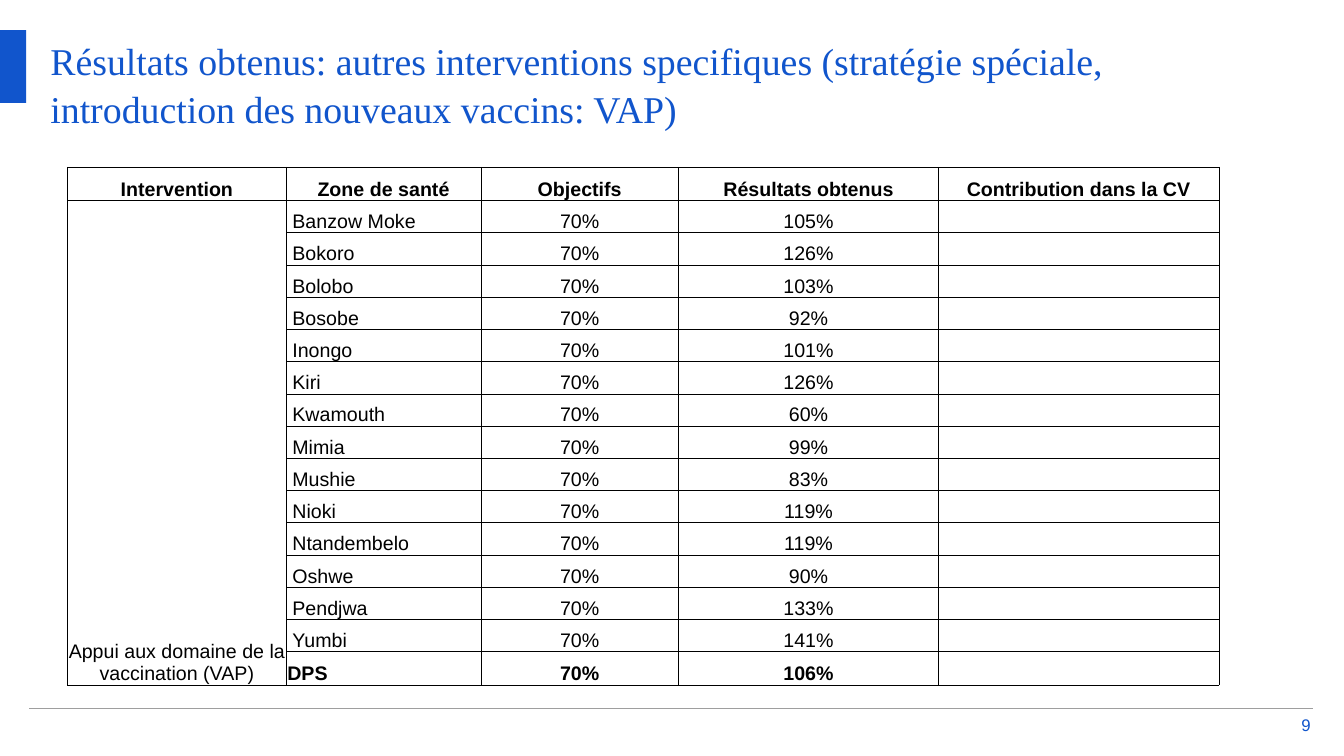
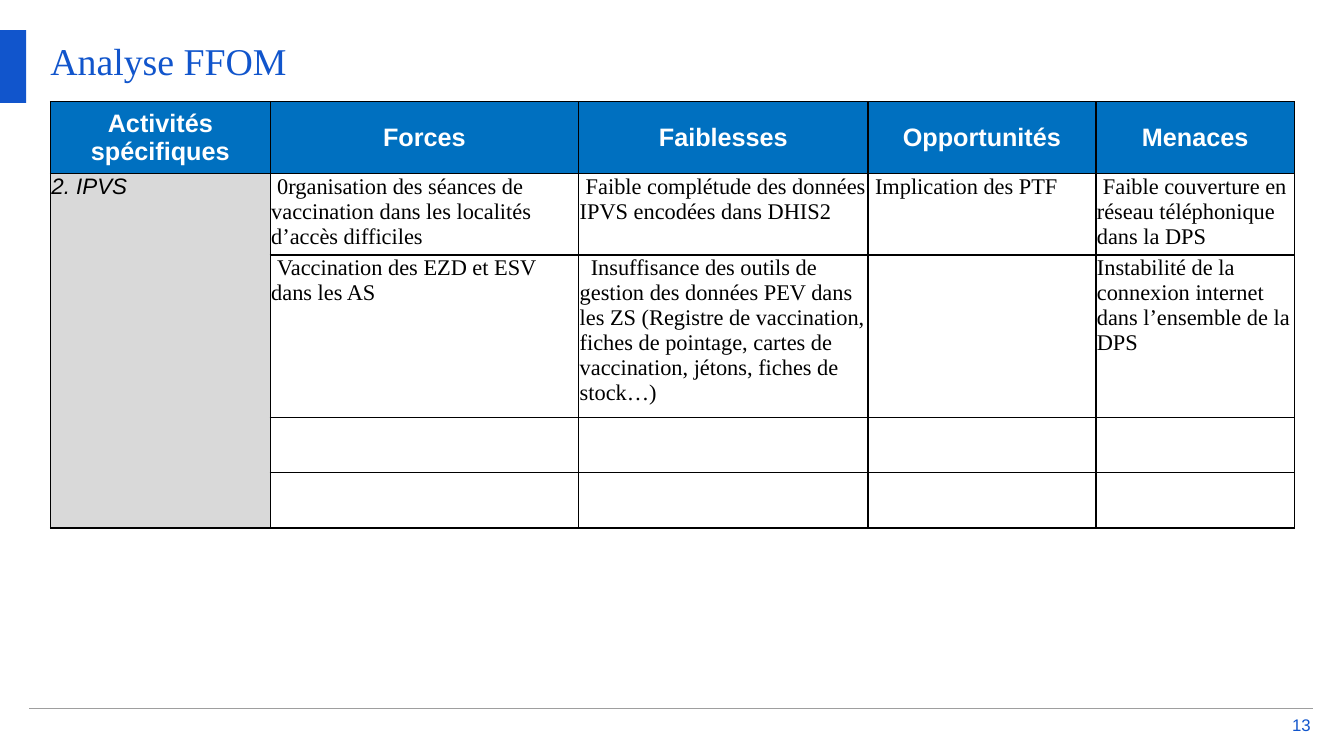
import pptx
import pptx.dml.color
import pptx.enum.shapes
import pptx.enum.text
import pptx.oxml.ns
import pptx.util
from lxml import etree

Inches = pptx.util.Inches
Pt = pptx.util.Pt
ALIGN = pptx.enum.text.PP_ALIGN
ANCHOR = pptx.enum.text.MSO_ANCHOR
qn = pptx.oxml.ns.qn

HUES = {
    "blue": "1155CC",
    "head": "0070C0",
    "side": "D9D9D9",
    "rule": "9E9E9E",
    "black": "000000",
    "white": "FFFFFF",
}
SANS = "Arial"
SERIF = "Times New Roman"

ZONES = [
    ("Banzow Moke", "105%"),
    ("Bokoro", "126%"),
    ("Bolobo", "103%"),
    ("Bosobe", "92%"),
    ("Inongo", "101%"),
    ("Kiri", "126%"),
    ("Kwamouth", "60%"),
    ("Mimia", "99%"),
    ("Mushie", "83%"),
    ("Nioki", "119%"),
    ("Ntandembelo", "119%"),
    ("Oshwe", "90%"),
    ("Pendjwa", "133%"),
    ("Yumbi", "141%"),
]
GOAL = "70%"

SWOT = [
    [
        "0rganisation des séances de vaccination dans les localités d’accès difficiles",
        "Faible complétude des données IPVS encodées dans DHIS2",
        "Implication des PTF",
        "Faible couverture en réseau téléphonique dans la DPS",
    ],
    [
        "Vaccination des EZD et ESV dans les AS",
        "Insuffisance des outils de gestion des données PEV dans les ZS "
        "(Registre de vaccination, fiches de pointage, cartes de vaccination, "
        "jétons, fiches de stock…)",
        "",
        "Instabilité de la connexion internet dans l’ensemble de la DPS",
    ],
]
INDENTS = [[0.06, 0.06, 0.06, 0.06], [0.06, 0.11, 0, 0]]


def color(name):
    return pptx.dml.color.RGBColor.from_string(HUES[name])


def write(frame, text, size=14, font=SANS, hue="black", bold=False,
          italic=False, align=ALIGN.LEFT, indent=0, space=None):
    par = frame.paragraphs[0]
    par.alignment = align
    par.line_spacing = space
    if indent:
        props = par._p.get_or_add_pPr()
        props.set("marL", "0")
        props.set("indent", str(Inches(indent)))
    run = par.add_run()
    run.text = text
    run.font.size = Pt(size)
    run.font.name = font
    run.font.bold = bold
    run.font.italic = italic
    run.font.color.rgb = color(hue)


def label(slide, box, text, anchor=ANCHOR.TOP, **style):
    frame = slide.shapes.add_textbox(*map(Inches, box)).text_frame
    frame.word_wrap = True
    frame.vertical_anchor = anchor
    frame.margin_left = frame.margin_right = 0
    frame.margin_top = frame.margin_bottom = 0
    write(frame, text, **style)


def band(slide):
    kind = pptx.enum.shapes.MSO_SHAPE.RECTANGLE
    shape = slide.shapes.add_shape(kind, 0, Inches(0.3), Inches(0.26), Inches(0.72))
    shape.shadow.inherit = False
    shape.fill.solid()
    shape.fill.fore_color.rgb = color("blue")
    shape.line.fill.background()


def rule(slide):
    kind = pptx.enum.shapes.MSO_CONNECTOR.STRAIGHT
    line = slide.shapes.add_connector(
        kind, Inches(0.29), Inches(7.03), Inches(13.02), Inches(7.03))
    line.line.color.rgb = color("rule")
    line.line.width = Pt(1)
    etree.SubElement(line._element.spPr, qn("a:effectLst"))


def page(deck, title, number):
    slide = deck.slides.add_slide(deck.slide_layouts[6])
    label(slide, (0.5, 0.35, 12.33, 0.8), title, size=27, font=SERIF,
          hue="blue", space=1.06)
    band(slide)
    label(slide, (12.75, 7.1, 0.25, 0.18), number, anchor=ANCHOR.MIDDLE,
          size=12, hue="blue", align=ALIGN.RIGHT)
    rule(slide)
    return slide


def border(cell, width):
    props = cell._tc.get_or_add_tcPr()
    for side in ("lnL", "lnR", "lnT", "lnB"):
        line = etree.SubElement(props, qn("a:" + side), w=str(Pt(width)))
        fill = etree.SubElement(line, qn("a:solidFill"))
        etree.SubElement(fill, qn("a:srgbClr"), val=HUES["black"])


def grid(slide, left, top, cols, rows, width):
    frame = slide.shapes.add_table(
        len(rows), len(cols), Inches(left), Inches(top),
        Inches(sum(cols)), Inches(sum(rows)))
    table = frame.table
    table.first_row = table.horz_banding = False
    for col, size in zip(table.columns, cols):
        col.width = Inches(size)
    for row, size in zip(table.rows, rows):
        row.height = Inches(size)
    for cell in table.iter_cells():
        cell.margin_left = cell.margin_right = cell.margin_top = Inches(0.01)
        cell.margin_bottom = 0
        border(cell, width)
        cell.fill.background()
    table.cell(1, 0).merge(table.cell(len(rows) - 1, 0))
    return table


def put(table, row, col, text, anchor=ANCHOR.TOP, fill=None, **style):
    cell = table.cell(row, col)
    cell.vertical_anchor = anchor
    if fill:
        cell.fill.solid()
        cell.fill.fore_color.rgb = color(fill)
    if text:
        write(cell.text_frame, text, **style)


def results(deck):
    slide = page(deck, "Résultats obtenus: autres interventions specifiques "
                 "(stratégie spéciale, introduction des nouveaux vaccins: VAP)", "9")
    table = grid(slide, 0.67, 1.66, [2.17, 1.93, 1.96, 2.58, 2.78],
                 [0.33] + [0.32] * len(ZONES) + [0.33], 0.5)
    low = {"anchor": ANCHOR.BOTTOM}
    mid = {"anchor": ANCHOR.BOTTOM, "align": ALIGN.CENTER}
    heads = ["Intervention", "Zone de santé", "Objectifs",
             "Résultats obtenus", "Contribution dans la CV"]
    for col, text in enumerate(heads):
        put(table, 0, col, text, bold=True, **mid)
    put(table, 1, 0, "Appui aux domaine de la vaccination (VAP)", **mid)
    for row, (zone, score) in enumerate(ZONES + [("DPS", "106%")], 1):
        total = zone == "DPS"
        put(table, row, 1, zone, bold=total, indent=0 if total else 0.05, **low)
        put(table, row, 2, GOAL, bold=total, **mid)
        put(table, row, 3, score, bold=total, **mid)


def swot(deck):
    slide = page(deck, "Analyse FFOM", "13")
    table = grid(slide, 0.5, 1.01, [2.18, 3.06, 2.87, 2.26, 1.97],
                 [0.71, 0.75, 1.5, 0.55, 0.55], 1)
    heads = ["Activités spécifiques", "Forces", "Faiblesses",
             "Opportunités", "Menaces"]
    for col, text in enumerate(heads):
        put(table, 0, col, text, anchor=ANCHOR.MIDDLE, fill="head", size=18,
            hue="white", bold=True, align=ALIGN.CENTER)
    put(table, 1, 0, "2. IPVS", fill="side", size=16, italic=True)
    for row, (texts, gaps) in enumerate(zip(SWOT, INDENTS), 1):
        for col, (text, gap) in enumerate(zip(texts, gaps), 1):
            put(table, row, col, text, size=16, font=SERIF, indent=gap)


def main():
    deck = pptx.Presentation()
    deck.slide_width = Inches(13.33)
    deck.slide_height = Inches(7.5)
    results(deck)
    swot(deck)
    deck.save("out.pptx")


if __name__ == "__main__":
    main()
